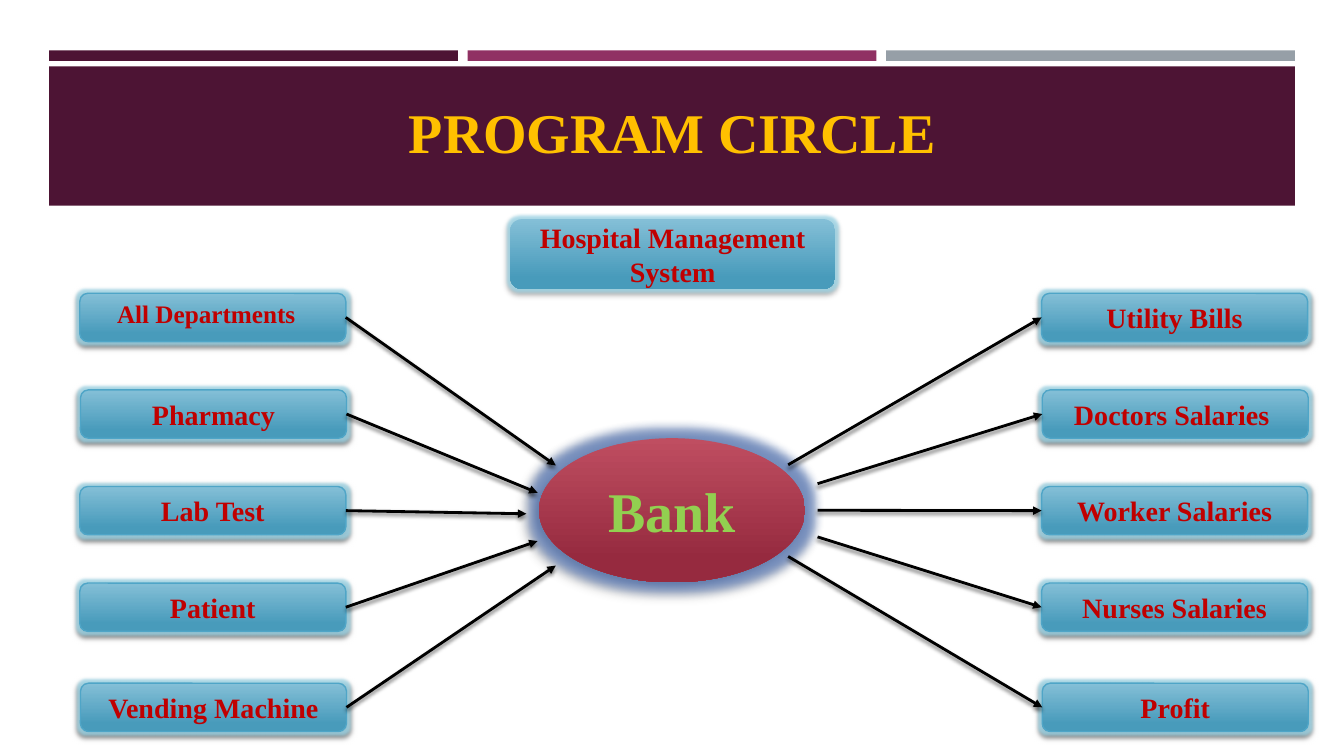
"""Build the program circle slide: income sources feed the bank, which pays expenses."""
from lxml.etree import SubElement
from pptx import Presentation
from pptx.dml.color import RGBColor
from pptx.enum.shapes import MSO_CONNECTOR, MSO_SHAPE
from pptx.enum.text import MSO_ANCHOR, MSO_AUTO_SIZE, PP_ALIGN
from pptx.oxml.ns import qn
from pptx.util import Pt

PLUM = RGBColor(0x4D, 0x14, 0x34)
MAGENTA = RGBColor(0x90, 0x31, 0x63)
GREY = RGBColor(0x96, 0x9F, 0xA7)
GOLD = RGBColor(0xFF, 0xC0, 0x00)
RED = RGBColor(0xC0, 0x00, 0x00)
GREEN = RGBColor(0x92, 0xD0, 0x50)
BLACK = RGBColor(0x00, 0x00, 0x00)
BLUE_EDGE = RGBColor(0x4F, 0xA5, 0xC7)
BLUE_GLOW = RGBColor(0x9F, 0xD8, 0xEA)
BANK_GLOW = RGBColor(0x44, 0x6C, 0xB8)
BLUES = (RGBColor(0x84, 0xBF, 0xD7), RGBColor(0x48, 0x9B, 0xBB))
CRIMSONS = (RGBColor(0xBF, 0x4E, 0x61), RGBColor(0x96, 0x2A, 0x3F))

BOX_WIDTH, BOX_HEIGHT = 190, 34.5
ROWS = [(57, 209.5), (57.5, 278.5), (57, 347.5), (57, 416.5), (57.5, 488)]
EXPENSE_OFFSET = 687
INCOMES = ["", "Pharmacy", "Lab Test", "Patient", "Vending Machine"]
EXPENSES = ["Utility Bills", "Doctors Salaries ", "Worker Salaries", "Nurses Salaries", "Profit"]
BANK_ENTRIES = [(397, 332.5), (384, 352), (376, 367), (384, 386.5), (397, 404)]
BANK_EXITS = [(563, 332), (584, 345.5), (584, 364.5), (584, 383.5), (563, 397.5)]


class Painter:
    """Hold the style and the current page, and draw each kind of element."""

    font_name = "Times New Roman"

    def __init__(self, page):
        self.page = page

    def letter(self, shape, text, size, color, align=PP_ALIGN.CENTER):
        """Put one bold paragraph into a shape."""
        frame = shape.text_frame
        frame.word_wrap = True
        frame.text = text
        para = frame.paragraphs[0]
        para.alignment = align
        para.font.name = self.font_name
        para.font.size = Pt(size)
        para.font.bold = True
        para.font.color.rgb = color
        return frame

    def title(self, text, left, top, width, height):
        """Place the title in front of what is already drawn."""
        title = self.page.shapes.title
        title.left, title.top, title.width, title.height = map(Pt, (left, top, width, height))
        frame = self.letter(title, text, 40, GOLD)
        frame.vertical_anchor = MSO_ANCHOR.BOTTOM
        frame.auto_size = MSO_AUTO_SIZE.NONE
        title.element.getparent().append(title.element)

    def bar(self, left, top, width, height, color):
        """Draw a flat rectangle."""
        bar = self.page.shapes.add_shape(MSO_SHAPE.RECTANGLE, *map(Pt, (left, top, width, height)))
        bar.shadow.inherit = False
        bar.fill.solid()
        bar.fill.fore_color.rgb = color
        bar.line.fill.background()

    def effects(self, shape, shadow, glow=None):
        """Add a shadow (opacity, blur, distance, angle) and a glow (color, radius, opacity)."""
        effects = SubElement(shape.element.spPr, qn("a:effectLst"))
        if glow:
            color, radius, opacity = glow
            halo = SubElement(effects, qn("a:glow"), rad=str(Pt(radius)))
            self.effect_color(halo, color, opacity)
        opacity, blur, distance, angle = shadow
        shade = SubElement(effects, qn("a:outerShdw"), blurRad=str(Pt(blur)), dist=str(Pt(distance)),
                           dir=str(angle * 60000), rotWithShape="0")
        self.effect_color(shade, BLACK, opacity)

    def effect_color(self, effect, color, opacity):
        """Give an effect its color and opacity."""
        tint = SubElement(effect, qn("a:srgbClr"), val=str(color))
        SubElement(tint, qn("a:alpha"), val=str(opacity * 1000))

    def node(self, kind, left, top, width, height, colors, shadow, glow, edge=None):
        """Draw a shape with a vertical gradient, a shadow and a glow."""
        node = self.page.shapes.add_shape(kind, *map(Pt, (left, top, width, height)))
        node.fill.gradient()
        node.fill.gradient_angle = 270
        for stop, color, position in zip(node.fill.gradient_stops, colors, (0, 0.84)):
            stop.color.rgb = color
            stop.position = position
        if edge:
            node.line.color.rgb = edge
            node.line.width = Pt(1)
        else:
            node.line.fill.background()
        self.effects(node, shadow, glow)
        return node

    def box(self, text, left, top):
        """Draw one income or expense box."""
        box = self.node(MSO_SHAPE.ROUNDED_RECTANGLE, left, top, BOX_WIDTH, BOX_HEIGHT,
                        BLUES, (55, 3, 2, 90), (BLUE_GLOW, 4, 80), BLUE_EDGE)
        if text:
            self.letter(box, text, 20, RED)
        return box

    def label(self, text, left, top, width, height):
        """Add a free label."""
        label = self.page.shapes.add_textbox(*map(Pt, (left, top, width, height)))
        self.letter(label, text, 18, RED, PP_ALIGN.LEFT)

    def arrow(self, start, end):
        """Draw an arrow between two points."""
        arrow = self.page.shapes.add_connector(MSO_CONNECTOR.STRAIGHT, *map(Pt, start + end))
        arrow.line.color.rgb = BLACK
        arrow.line.width = Pt(2)
        SubElement(arrow.element.spPr.find(qn("a:ln")), qn("a:tailEnd"), type="triangle")
        self.effects(arrow, (55, 3, 2, 90))
        return arrow


def main():
    """Build and save the deck."""
    deck = Presentation()
    deck.slide_width, deck.slide_height = Pt(960), Pt(540)
    painter = Painter(deck.slides.add_slide(deck.slide_layouts[5]))

    for column, color in enumerate((PLUM, MAGENTA, GREY)):
        painter.bar(35 + column * 299, 36, 292, 7.5, color)
    painter.bar(35, 47.5, 890, 99.5, PLUM)
    painter.title("PROGRAM CIRCLE", 46, 62.5, 868.5, 59)

    system = painter.node(MSO_SHAPE.ROUNDED_RECTANGLE, 364.5, 156.5, 232, 50,
                          BLUES, (32, 3.5, 2.2, 90), (BLUE_GLOW, 4, 80))
    painter.letter(system, "Hospital Management System", 20, RED)
    bank = painter.node(MSO_SHAPE.OVAL, 385, 313, BOX_WIDTH, 103,
                        CRIMSONS, (40, 4, 3, 135), (BANK_GLOW, 14, 60))
    painter.letter(bank, "Bank", 40, GREEN)

    for (left, top), income, expense, entry, leave in zip(
            ROWS, INCOMES, EXPENSES, BANK_ENTRIES, BANK_EXITS):
        middle = top + BOX_HEIGHT / 2
        source = painter.box(income, left, top)
        painter.arrow((left + BOX_WIDTH, middle), entry).begin_connect(source, 3)
        target = painter.box(expense, left + EXPENSE_OFFSET, top)
        painter.arrow(leave, (left + EXPENSE_OFFSET, middle)).end_connect(target, 1)
    painter.label("All Departments", 76.5, 209.5, 151, 29)

    deck.save("out.pptx")


if __name__ == "__main__":
    main()
